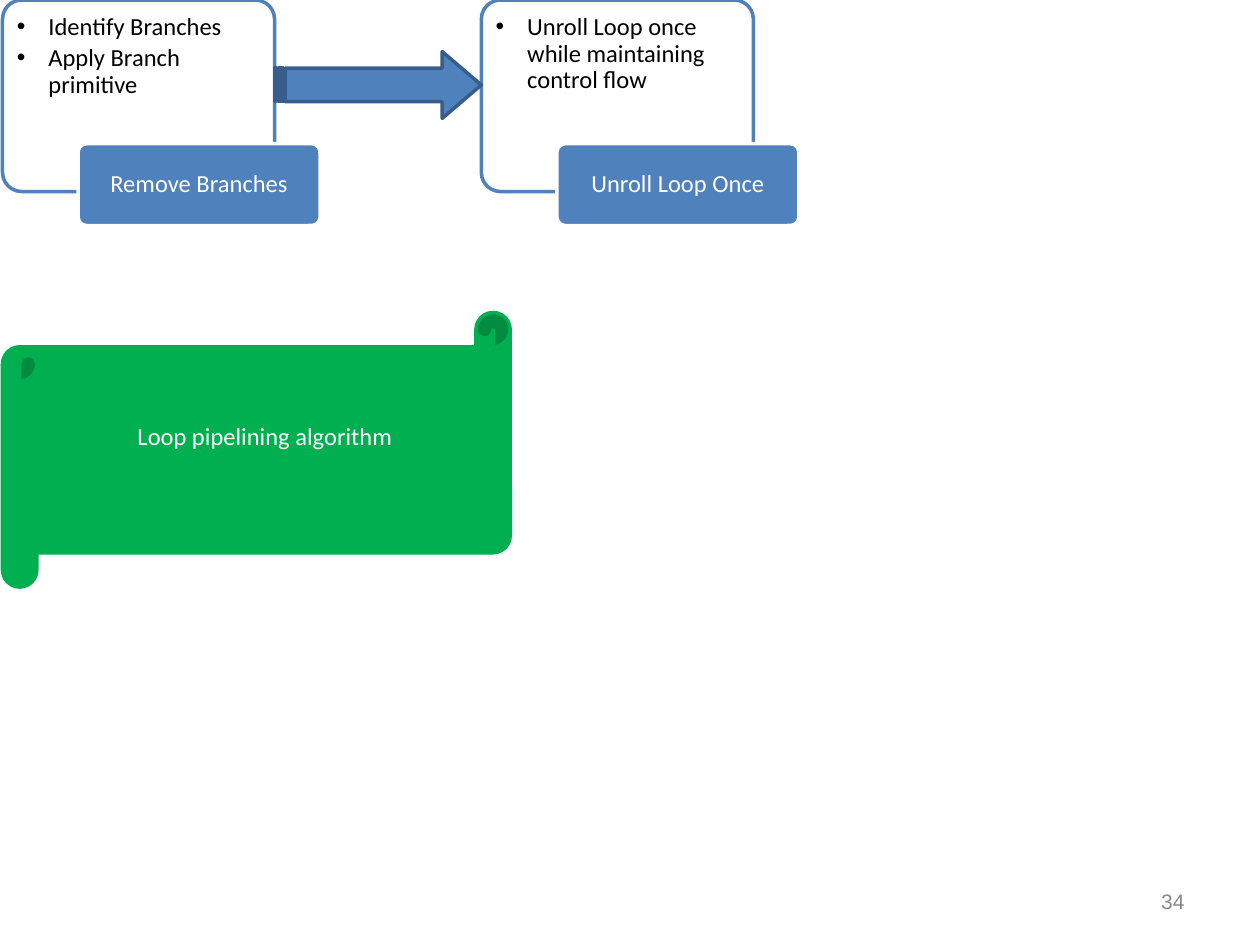
from dataclasses import dataclass

from lxml.etree import SubElement
from pptx import Presentation
from pptx.dml.color import RGBColor
from pptx.enum.shapes import MSO_SHAPE as Preset
from pptx.enum.text import MSO_ANCHOR as Anchor, PP_ALIGN as Align
from pptx.oxml.ns import qn
from pptx.util import Inches, Pt


@dataclass(frozen=True)
class Theme:
    white: str = "FFFFFF"
    black: str = "000000"
    blue: str = "4F81BD"
    dark_blue: str = "385D8A"
    green: str = "00B050"
    gray: str = "898989"
    body_font: str = "Calibri"
    number_font: str = "Arial"
    body_size: int = 14
    number_size: int = 12
    line_width: int = 2


THEME = Theme()
STEPS = [
    ("Remove Branches", ["Identify Branches", "Apply Branch primitive"]),
    ("Unroll Loop Once", ["Unroll Loop once while maintaining control flow"]),
]
LEFT = 0.02
STEP_PITCH = 3.8
CARD_WIDTH, CARD_HEIGHT = 2.16, 1.52
ARROW_TOP, ARROW_HEIGHT, ARROW_HEAD = 0.41, 0.53, 0.31


def add_preset(slide, preset, box, fill, line, adjustments):
    shape = slide.shapes.add_shape(preset, *map(Inches, box))
    for index, value in enumerate(adjustments):
        shape.adjustments[index] = value
    shape.shadow.inherit = False
    shape.fill.solid()
    shape.fill.fore_color.rgb = RGBColor.from_string(fill)
    shape.line.color.rgb = RGBColor.from_string(line)
    shape.line.width = Pt(THEME.line_width)
    return shape


def set_text(shape, lines, color, insets, align=Align.CENTER, anchor=Anchor.MIDDLE,
             font=THEME.body_font, size=THEME.body_size, bullets=False,
             line_spacing=1.0, space_after=0):
    """Fill the shape with one paragraph per line; insets run left, top, right, bottom."""
    frame = shape.text_frame
    frame.word_wrap = True
    frame.vertical_anchor = anchor
    frame.margin_left, frame.margin_top, frame.margin_right, frame.margin_bottom = map(
        Inches, insets)
    frame.text = "\n".join(lines)
    for paragraph in frame.paragraphs:
        paragraph.alignment = align
        paragraph.line_spacing = line_spacing
        paragraph.space_after = Pt(space_after)
        if bullets:
            add_bullet(paragraph)
        for run in paragraph.runs:
            run.font.name = font
            run.font.size = Pt(size)
            run.font.color.rgb = RGBColor.from_string(color)


def add_bullet(paragraph):
    paragraph.level = 1
    properties = paragraph._p.get_or_add_pPr()
    properties.set("marL", str(Inches(0.25)))
    properties.set("indent", str(-Inches(0.25)))
    SubElement(properties, qn("a:buFont"), typeface=THEME.number_font)
    SubElement(properties, qn("a:buChar"), char="•")


def set_opacity(shape, percent):
    color = shape.fill._xPr.find(qn("a:solidFill"))[0]
    SubElement(color, qn("a:alpha"), val=str(percent * 1000))


def add_step(slide, left, title, actions):
    card = add_preset(slide, Preset.ROUNDED_RECTANGLE, (left, 0, CARD_WIDTH, CARD_HEIGHT),
                      THEME.white, THEME.blue, [0.1])
    set_opacity(card, 90)
    set_text(card, actions, THEME.black, (0.07, 0.07, 0.07, 0.63), Align.LEFT, Anchor.TOP,
             bullets=True, line_spacing=0.9, space_after=2.6)
    caption = add_preset(slide, Preset.ROUNDED_RECTANGLE, (left + 0.6, 1.14, 1.92, 0.65),
                         THEME.blue, THEME.white, [0.1])
    set_text(caption, [title], THEME.white, (0.08, 0.06, 0.08, 0.06),
             line_spacing=0.9, space_after=6.1)


def add_arrow(slide, left):
    """Bridge the gap between the card that ends at left and the next card."""
    add_preset(slide, Preset.STRIPED_RIGHT_ARROW,
               (left, ARROW_TOP, STEP_PITCH - CARD_WIDTH, ARROW_HEIGHT),
               THEME.blue, THEME.dark_blue, [0.5, ARROW_HEAD / ARROW_HEIGHT])


def add_scroll(slide, text):
    scroll = add_preset(slide, Preset.HORIZONTAL_SCROLL, (LEFT, 2.48, 4.03, 2.18),
                        THEME.green, THEME.green, [0.125])
    set_text(scroll, [text], THEME.white, (0.1, 0.05, 0.1, 0.28))


def add_slide_number(slide, number):
    box = slide.shapes.add_textbox(*map(Inches, (7.17, 6.95, 2.33, 0.4)))
    set_text(box, [number], THEME.gray, (0.1, 0.05, 0.1, 0.05), Align.RIGHT,
             font=THEME.number_font, size=THEME.number_size)


def main():
    presentation = Presentation()
    presentation.slide_width, presentation.slide_height = Inches(10), Inches(7.5)
    slide = presentation.slides.add_slide(presentation.slide_layouts[6])
    add_slide_number(slide, "34")
    for index, (title, actions) in enumerate(STEPS):
        add_step(slide, LEFT + index * STEP_PITCH, title, actions)
    add_arrow(slide, LEFT + CARD_WIDTH)
    add_scroll(slide, "Loop pipelining algorithm")
    presentation.save("out.pptx")


if __name__ == "__main__":
    main()
